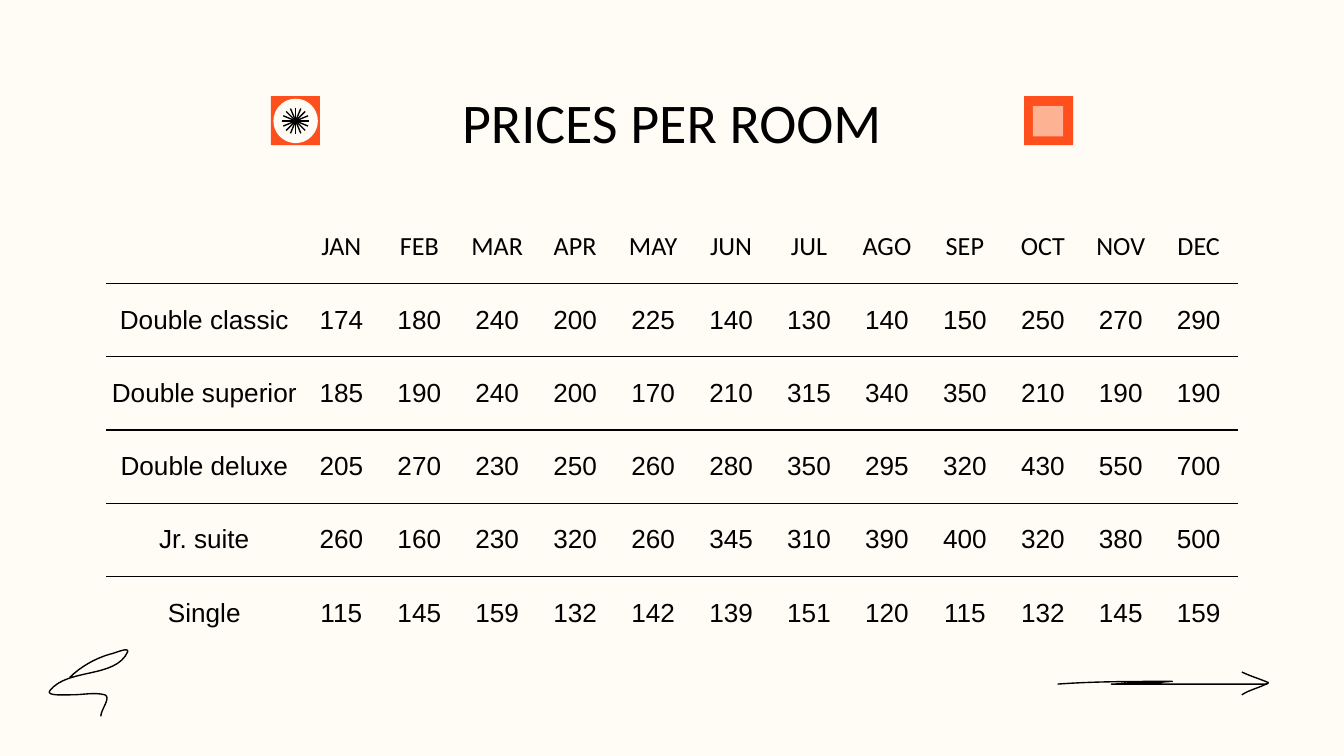
from dataclasses import dataclass
from math import cos, pi, sin

from lxml.etree import SubElement
from pptx import Presentation
from pptx.dml.color import RGBColor
from pptx.enum.shapes import MSO_CONNECTOR, MSO_SHAPE
from pptx.enum.text import MSO_ANCHOR, PP_ALIGN
from pptx.oxml import parse_xml
from pptx.oxml.ns import nsdecls, qn
from pptx.util import Emu, Pt

PX = 4572  # EMU per px, 200 px to the inch
LINE_PT = 0.75
COLORS = {"ink": "000000", "paper": "FFFBF5", "orange": "FE4F1C", "peach": "FCB293"}
NO_GRID_STYLE = "{2D5ABB26-0587-4C30-8999-92F81FD0307C}"

MONTHS = "JAN FEB MAR APR MAY JUN JUL AGO SEP OCT NOV DEC".split()


@dataclass
class Room:
    name: str
    prices: list[int]
    margin: int = 4


@dataclass
class Tile:
    kind: MSO_SHAPE
    x: int
    y: int
    size: int
    color: str


@dataclass
class Stroke:
    """A start point followed by cubic Bézier points, three per segment."""
    points: list[tuple[int, int]]


ROOMS = [
    Room("Double classic", [174, 180, 240, 200, 225, 140, 130, 140, 150, 250, 270, 290]),
    Room("Double superior", [185, 190, 240, 200, 170, 210, 315, 340, 350, 210, 190, 190], 0),
    Room("Double deluxe", [205, 270, 230, 250, 260, 280, 350, 295, 320, 430, 550, 700]),
    Room("Jr. suite", [260, 160, 230, 320, 260, 345, 310, 390, 400, 320, 380, 500]),
    Room("Single", [115, 145, 159, 132, 142, 139, 151, 120, 115, 132, 145, 159]),
]

TILES = [
    Tile(MSO_SHAPE.RECTANGLE, 1524, 143, 73, "orange"),
    Tile(MSO_SHAPE.RECTANGLE, 1537, 158, 45, "peach"),
    Tile(MSO_SHAPE.RECTANGLE, 403, 143, 73, "orange"),
    Tile(MSO_SHAPE.OVAL, 407, 147, 66, "paper"),
]

STROKES = [
    # Swirl
    Stroke([(104, 1008), (120, 992), (142, 980), (162, 974),
            (172, 972), (192, 962), (190, 970),
            (172, 1010), (100, 994), (74, 1028),
            (68, 1036), (96, 1034), (108, 1034),
            (124, 1034), (140, 1030), (156, 1034),
            (166, 1038), (150, 1056), (150, 1066)]),
    # Arrow shaft
    Stroke([(1574, 1018), (1628, 1014), (1686, 1014), (1744, 1014),
            (1750, 1014), (1732, 1014), (1726, 1016),
            (1712, 1016), (1696, 1016), (1682, 1016),
            (1672, 1018), (1646, 1018), (1656, 1018),
            (1732, 1018), (1808, 1018), (1886, 1018)]),
    # Arrow head
    Stroke([(1848, 1000), (1860, 1006), (1874, 1010), (1888, 1016)]),
    Stroke([(1848, 1034), (1860, 1026), (1874, 1024), (1888, 1016)]),
]


def px(n: float) -> Emu:
    return Emu(round(n * PX))


def rgb(name: str) -> RGBColor:
    return RGBColor.from_string(COLORS[name])


def add_text(p, text: str, font: str, size: int) -> None:
    p.alignment = PP_ALIGN.CENTER
    r = p.add_run()
    r.text = text
    r.font.name = font
    r.font.size = Pt(size)
    r.font.color.rgb = rgb("ink")


def set_ink_line(sp) -> None:
    sp.line.color.rgb = rgb("ink")
    sp.line.width = Pt(LINE_PT)


def add_title(s, text: str) -> None:
    tf = s.shapes.add_textbox(px(157), px(118), px(1686), px(124)).text_frame
    tf.word_wrap = True
    tf.vertical_anchor = MSO_ANCHOR.MIDDLE
    tf.margin_left = tf.margin_right = tf.margin_top = tf.margin_bottom = px(20)
    add_text(tf.paragraphs[0], text, "Calibri", 30)


def set_borders(cell, sides: list[str]) -> None:
    tc_pr = cell._tc.get_or_add_tcPr()
    for i, side in enumerate(sides):
        tc_pr.insert(i, parse_xml(
            f'<a:{side} {nsdecls("a")} w="{Pt(LINE_PT)}"><a:solidFill>'
            f'<a:srgbClr val="{COLORS["ink"]}"/></a:solidFill></a:{side}>'))


def fill_cell(cell, text: str, font: str, margin: int) -> None:
    cell.vertical_anchor = MSO_ANCHOR.MIDDLE
    cell.margin_left = cell.margin_right = px(margin)
    cell.margin_top = cell.margin_bottom = px(20)
    add_text(cell.text_frame.paragraphs[0], text, font, 14)


def add_price_table(s, rooms: list[Room]) -> None:
    n_rows, n_cols = len(rooms) + 1, len(MONTHS) + 1
    name_w, month_w, row_h, margin = 292, 116, 109, 12
    table = s.shapes.add_table(n_rows, n_cols, px(158), px(313),
                               px(name_w + month_w * len(MONTHS)), px(row_h * n_rows)).table
    table.first_row = table.horz_banding = False
    table._tbl.tblPr.find(qn("a:tableStyleId")).text = NO_GRID_STYLE
    for i, col in enumerate(table.columns):
        col.width = px(month_w if i else name_w)

    # Rules run between rows only
    for i, row in enumerate(table.rows):
        row.height = px(row_h)
        sides = (["lnT"] if i else []) + (["lnB"] if i < n_rows - 1 else [])
        for cell in row.cells:
            cell.fill.background()
            set_borders(cell, sides)

    for j, month in enumerate(MONTHS, 1):
        fill_cell(table.cell(0, j), month, "Calibri", margin)
    for i, room in enumerate(rooms, 1):
        fill_cell(table.cell(i, 0), room.name, "Arial", room.margin)
        for j, price in enumerate(room.prices, 1):
            fill_cell(table.cell(i, j), str(price), "Arial", margin)


def add_tile(s, tile: Tile) -> None:
    sp = s.shapes.add_shape(tile.kind, px(tile.x), px(tile.y), px(tile.size), px(tile.size))
    sp.shadow.inherit = False
    sp.fill.solid()
    sp.fill.fore_color.rgb = rgb(tile.color)
    sp.line.fill.background()


def add_starburst(s, cx: int, cy: int, radius: int, spokes: int) -> None:
    for k in range(spokes):
        dx, dy = radius * cos(pi * k / spokes), radius * sin(pi * k / spokes)
        sp = s.shapes.add_connector(MSO_CONNECTOR.STRAIGHT, px(cx - dx), px(cy - dy),
                                    px(cx + dx), px(cy + dy))
        set_ink_line(sp)
        SubElement(sp._element.spPr, qn("a:effectLst"))


def add_stroke(s, stroke: Stroke) -> None:
    pts = [(px(x), px(y)) for x, y in stroke.points]
    fb = s.shapes.build_freeform(*pts[0])
    fb.add_line_segments(pts[3::3], close=False)
    sp = fb.convert_to_shape()

    # Turn each straight segment into a cubic curve
    for i, seg in enumerate(list(sp._element.iter(qn("a:lnTo")))):
        seg.tag = qn("a:cubicBezTo")
        for k, (x, y) in enumerate(pts[3 * i + 1:3 * i + 3]):
            seg.insert(k, parse_xml(
                f'<a:pt {nsdecls("a")} x="{x - sp.left}" y="{y - sp.top}"/>'))

    sp.shadow.inherit = False
    sp.fill.background()
    set_ink_line(sp)


def main() -> None:
    prs = Presentation()
    prs.slide_width, prs.slide_height = px(2000), px(1125)
    s = prs.slides.add_slide(prs.slide_layouts[6])
    s.background.fill.solid()
    s.background.fill.fore_color.rgb = rgb("paper")

    add_title(s, "PRICES PER ROOM")
    add_price_table(s, ROOMS)

    # Ornaments
    for tile in TILES:
        add_tile(s, tile)
    add_starburst(s, 440, 180, 20, 8)
    for stroke in STROKES:
        add_stroke(s, stroke)

    prs.save("out.pptx")


if __name__ == "__main__":
    main()
